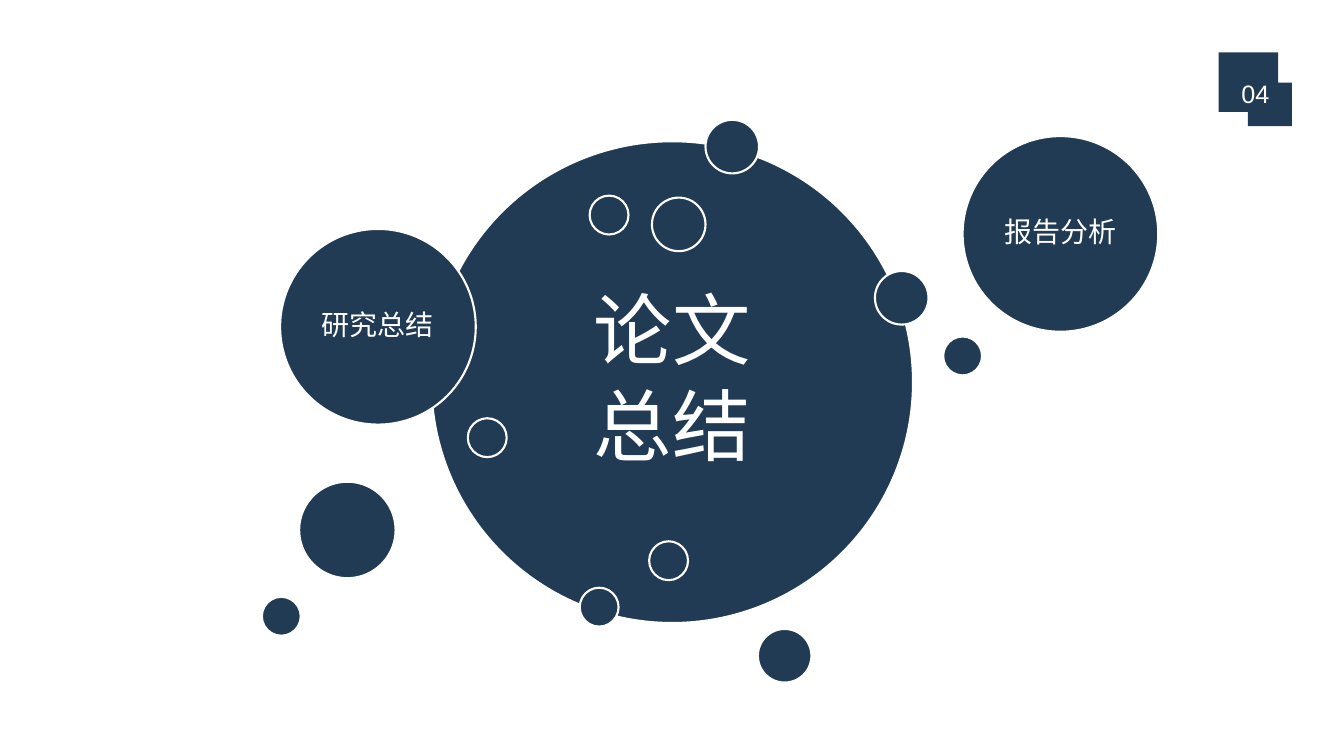
from dataclasses import dataclass

from pptx import Presentation
from pptx.dml.color import RGBColor
from pptx.enum.shapes import MSO_SHAPE as Shape
from pptx.enum.text import MSO_ANCHOR as Anchor, PP_ALIGN as Align
from pptx.shapes.autoshape import Shape as AutoShape
from pptx.slide import Slide
from pptx.util import Cm, Pt

COLORS = {"navy": "213B55", "white": "FFFFFF"}
HUB, TOPIC, LARGE, MEDIUM, SMALL = 12.14, 4.93, 2.43, 1.35, 0.98  # diameters, cm


@dataclass(frozen=True)
class Bubble:
    left: float
    top: float
    diameter: float
    lines: tuple[str, ...] = ()
    font_size: int = 20


# From back to front
BUBBLES = [
    Bubble(10.87, 3.56, HUB, ("论文", "总结"), 56),
    Bubble(17.78, 3.02, MEDIUM),
    Bubble(14.61, 14.81, SMALL),
    Bubble(23.77, 8.48, SMALL),
    Bubble(19.1, 15.85, MEDIUM),
    Bubble(14.86, 4.93, SMALL),
    Bubble(11.79, 10.54, SMALL),
    Bubble(7.06, 5.77, TOPIC, ("研究总结",)),
    Bubble(16.43, 4.98, MEDIUM),
    Bubble(7.54, 12.14, LARGE),
    Bubble(24.26, 3.43, TOPIC, ("报告分析",)),
    Bubble(22.05, 6.83, MEDIUM),
    Bubble(6.6, 15.04, SMALL),
    Bubble(16.36, 13.64, SMALL),
]

# Two overlapping squares, in hundredths of a centimetre
BADGE_OUTLINE = [(3071, 132), (3221, 132), (3221, 208), (3256, 208),
                 (3256, 318), (3145, 318), (3145, 282), (3071, 282)]

BUBBLE_PARAGRAPH = {"alignment": Align.CENTER, "line_spacing": 0.9,
                    "space_after": Pt(7.6)}
BADGE_PARAGRAPH = {"alignment": Align.CENTER, "line_spacing": 1.3}


def color(name: str) -> RGBColor:
    return RGBColor.from_string(COLORS[name])


def set_format(target: object, values: dict) -> None:
    for name, value in values.items():
        setattr(target, name, value)


def paint(sp: AutoShape) -> None:
    sp.shadow.inherit = False
    sp.fill.solid()
    sp.fill.fore_color.rgb = color("navy")


def write_lines(sp: AutoShape, lines: tuple[str, ...], font_size: int,
                paragraph: dict) -> None:
    tf = sp.text_frame
    set_format(tf, {"word_wrap": True, "vertical_anchor": Anchor.MIDDLE,
                    "margin_left": 0, "margin_right": 0,
                    "margin_top": 0, "margin_bottom": 0})
    for i, line in enumerate(lines):
        p = tf.add_paragraph() if i else tf.paragraphs[0]
        set_format(p, paragraph)
        r = p.add_run()
        r.text = line
        set_format(r.font, {"name": "Arial", "size": Pt(font_size)})
        r.font.color.rgb = color("white")


def add_bubble(s: Slide, bubble: Bubble) -> None:
    sp = s.shapes.add_shape(Shape.OVAL, Cm(bubble.left), Cm(bubble.top),
                            Cm(bubble.diameter), Cm(bubble.diameter))
    paint(sp)
    sp.line.color.rgb = color("white")
    sp.line.width = Pt(1.5)
    if bubble.lines:
        write_lines(sp, bubble.lines, bubble.font_size, BUBBLE_PARAGRAPH)


def add_badge(s: Slide, number: str) -> None:
    builder = s.shapes.build_freeform(*BADGE_OUTLINE[0], scale=Cm(0.01))
    builder.add_line_segments(BADGE_OUTLINE[1:], close=True)
    sp = builder.convert_to_shape()
    paint(sp)
    sp.line.fill.background()
    write_lines(sp, (number,), 18, BADGE_PARAGRAPH)


def main() -> None:
    prs = Presentation()
    prs.slide_width, prs.slide_height = Cm(33.87), Cm(19.05)
    s = prs.slides.add_slide(prs.slide_layouts[6])
    add_badge(s, "04")
    for bubble in BUBBLES:
        add_bubble(s, bubble)
    prs.save("out.pptx")


if __name__ == "__main__":
    main()
